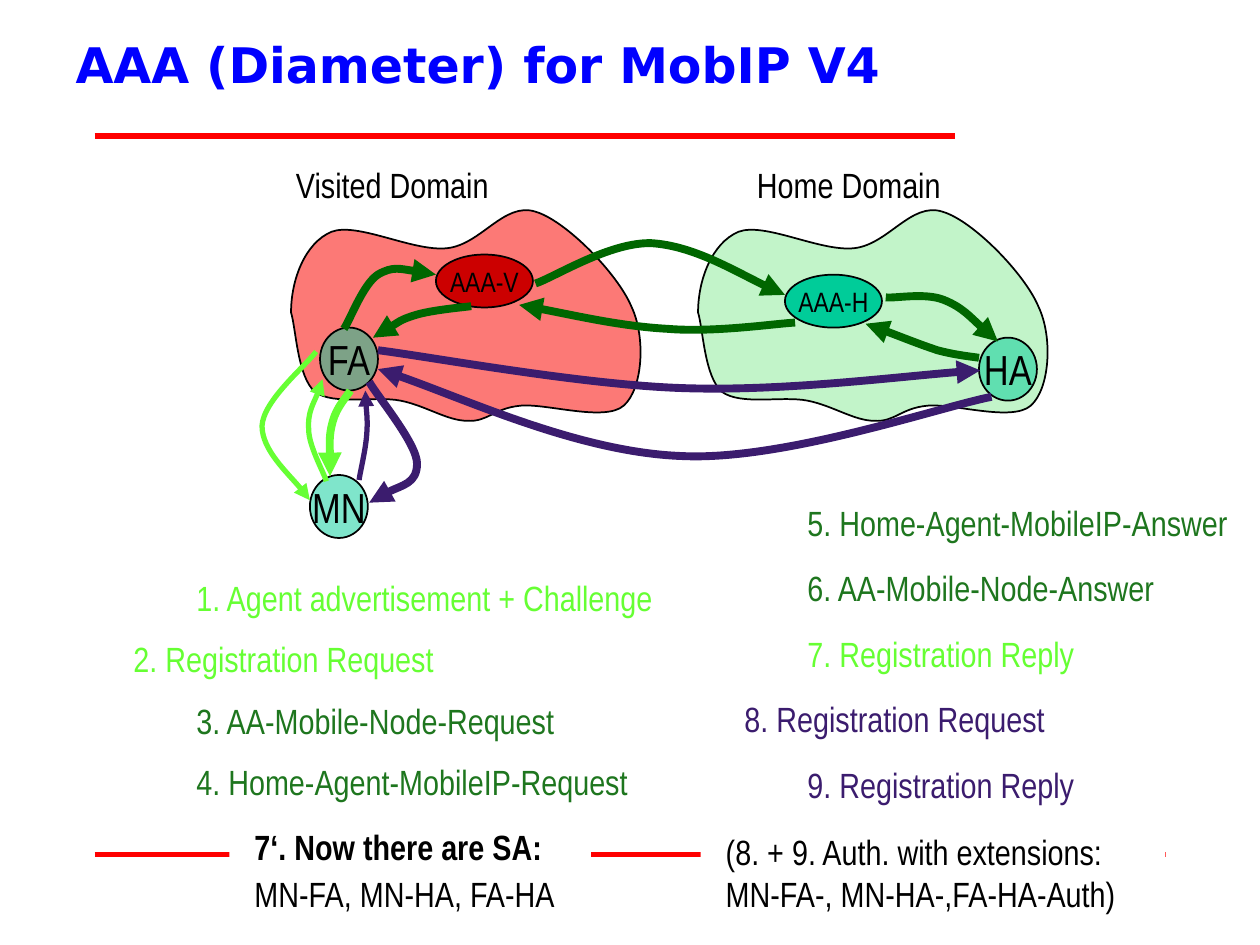
from dataclasses import dataclass

from lxml.etree import SubElement
from pptx import Presentation
from pptx.dml.color import RGBColor
from pptx.enum.shapes import MSO_CONNECTOR, MSO_SHAPE
from pptx.enum.text import MSO_ANCHOR, MSO_AUTO_SIZE, PP_ALIGN
from pptx.oxml.ns import qn
from pptx.util import Inches, Pt


@dataclass(frozen=True)
class Theme:
    """Colours, fonts and type sizes of the slide."""
    title_font: str = "DejaVu Sans"
    body_font: str = "Arial Narrow"
    title_size: int = 28
    node_size: int = 24
    body_size: int = 20
    server_size: int = 16
    ink: str = "000000"
    paper: str = "FFFFFF"
    heading: str = "0000FF"
    rule: str = "FF0000"
    visited: str = "FC7976"
    home: str = "C2F4C9"
    server_visited: str = "CC0000"
    node: str = "00CC99"
    mobile: str = "66FF33"
    diameter: str = "006600"
    diameter_text: str = "1E761E"
    registration: str = "3B1C6E"


THEME = Theme()

DOMAIN_OUTLINE = [
    (2.31, 2.48), (2.31, 2.22), (2.42, 1.93), (2.63, 1.84), (2.84, 1.76), (3.28, 2),
    (3.55, 1.97), (3.82, 1.94), (4, 1.6), (4.25, 1.68), (4.49, 1.75), (4.9, 2.17),
    (5.01, 2.43), (5.13, 2.68), (5.1, 3.09), (4.95, 3.22), (4.8, 3.35), (4.34, 3.2),
    (4.13, 3.22), (3.92, 3.24), (3.87, 3.35), (3.71, 3.34), (3.55, 3.34), (3.38, 3.22),
    (3.18, 3.18), (2.98, 3.14), (2.65, 3.22), (2.5, 3.11), (2.36, 2.99), (2.35, 2.61),
    (2.31, 2.48)]

DOMAINS = [("Home Domain", 5.91, 1.66, THEME.home, 3.23),
           ("Visited Domain", 2.25, 1.73, THEME.visited, 0)]
NODES = [("HA", 7.77, 2.68), ("FA", 2.54, 2.6), ("MN", 2.46, 3.77)]
SERVERS = [("AAA-H", 6.23, 2.18, THEME.node), ("AAA-V", 3.46, 2.02, THEME.server_visited)]

FLOWS = [
    (THEME.mobile, 3, [(2.51, 2.79), (2.42, 2.91), (2.09, 3.18), (2.08, 3.38),
                       (2.08, 3.57), (2.4, 3.87), (2.46, 3.97)]),
    (THEME.mobile, 3, [(2.59, 3.82), (2.57, 3.75), (2.45, 3.54), (2.45, 3.41),
                       (2.44, 3.27), (2.54, 3.1), (2.56, 3.01)]),
    (THEME.mobile, 4.5, [(2.78, 3.1), (2.76, 3.14), (2.67, 3.23), (2.64, 3.35),
                         (2.61, 3.46), (2.62, 3.69), (2.62, 3.78)]),
    (THEME.diameter, 4.5, [(2.73, 2.61), (2.78, 2.54), (2.88, 2.26), (3, 2.18),
                           (3.12, 2.11), (3.28, 2.15), (3.46, 2.18)]),
    (THEME.diameter, 4.5, [(4.25, 2.25), (4.4, 2.2), (4.84, 1.92), (5.17, 1.93),
                           (5.5, 1.95), (6.01, 2.25), (6.23, 2.34)]),
    (THEME.diameter, 4.5, [(7.03, 2.36), (7.1, 2.37), (7.34, 2.32), (7.49, 2.38),
                           (7.64, 2.44), (7.83, 2.64), (7.92, 2.71)]),
    (THEME.diameter, 4.5, [(7.77, 2.84), (7.71, 2.83), (7.59, 2.82), (7.44, 2.78),
                           (7.29, 2.73), (6.99, 2.61), (6.87, 2.57)]),
    (THEME.diameter, 4.5, [(6.31, 2.56), (6.14, 2.57), (5.66, 2.64), (5.3, 2.61),
                           (4.93, 2.59), (4.36, 2.46), (4.12, 2.42)]),
    (THEME.diameter, 4.5, [(3.74, 2.43), (3.67, 2.44), (3.43, 2.46), (3.3, 2.5),
                           (3.17, 2.54), (3.03, 2.64), (2.96, 2.68)]),
    (THEME.registration, 4.5, [(3, 2.78), (3.4, 2.83), (4.59, 3.05), (5.39, 3.08),
                               (6.18, 3.11), (7.28, 2.97), (7.78, 2.94)]),
    (THEME.registration, 3, [(2.85, 3.81), (2.86, 3.74), (2.9, 3.58), (2.91, 3.46),
                             (2.92, 3.34), (2.9, 3.17), (2.9, 3.1)]),
    (THEME.registration, 4.5, [(7.87, 3.15), (7.46, 3.23), (6.22, 3.66), (5.41, 3.62),
                               (4.6, 3.59), (3.5, 3.08), (3, 2.93)]),
    (THEME.registration, 4.5, [(2.93, 3.03), (2.99, 3.14), (3.31, 3.52), (3.31, 3.68),
                               (3.31, 3.84), (3.01, 3.92), (2.93, 3.99)])]

MESSAGES = [
    ("1. Agent advertisement + Challenge", 1.46, 4.53, 4.4, THEME.mobile),
    ("2. Registration Request", 0.96, 5.01, 3.58, THEME.mobile),
    ("3. AA-Mobile-Node-Request", 1.46, 5.5, 3.05, THEME.diameter_text),
    ("4. Home-Agent-MobileIP-Request", 1.46, 5.99, 3.62, THEME.diameter_text),
    ("5. Home-Agent-MobileIP-Answer", 6.31, 3.93, 3.53, THEME.diameter_text),
    ("6. AA-Mobile-Node-Answer", 6.31, 4.45, 2.96, THEME.diameter_text),
    ("7. Registration Reply", 6.31, 4.97, 2.57, THEME.mobile),
    ("8. Registration Request", 5.81, 5.49, 3.58, THEME.registration),
    ("9. Registration Reply", 6.31, 6.01, 2.57, THEME.registration)]


def apply(target, formats):
    """Set every format value on the target."""
    for name, value in formats.items():
        setattr(target, name, value)


class SlideBuilder:
    """Draws styled elements on the current slide."""

    def __init__(self, slide, theme):
        self.slide, self.theme = slide, theme

    def fill_text(self, holder, lines, size, color, frame=None, paragraph=None, font=None):
        text_frame = holder.text_frame
        text_frame.text = "\n".join(lines)
        apply(text_frame, {"auto_size": MSO_AUTO_SIZE.NONE, **(frame or {})})
        for line in text_frame.paragraphs:
            apply(line, {"alignment": PP_ALIGN.LEFT, **(paragraph or {})})
            line_font = line.runs[0].font
            apply(line_font, {"name": self.theme.body_font, "size": Pt(size), **(font or {})})
            line_font.color.rgb = RGBColor.from_string(color)

    def paint(self, shape, fill=None, line=None, width=1):
        shape.shadow.inherit = False
        for part, color in ((shape.fill, fill), (shape.line.fill, line)):
            if color:
                part.solid()
                part.fore_color.rgb = RGBColor.from_string(color)
            else:
                part.background()
        if line:
            shape.line.width = Pt(width)

    def title(self, text):
        heading = self.slide.shapes.title
        apply(heading, {"left": Inches(0.5), "top": 0,
                        "width": Inches(6.69), "height": Inches(1.01)})
        self.fill_text(heading, [text], self.theme.title_size, self.theme.heading,
                       {"vertical_anchor": MSO_ANCHOR.MIDDLE},
                       font={"name": self.theme.title_font, "bold": True})

    def rule(self, left, right, y):
        rule = self.slide.shapes.add_connector(
            MSO_CONNECTOR.STRAIGHT, Inches(left), Inches(y), Inches(right), Inches(y))
        rule.line.color.rgb = RGBColor.from_string(self.theme.rule)
        rule.line.width = Pt(3)
        SubElement(rule.element.spPr, qn("a:effectLst"))

    def label(self, text, left, top, width, color):
        label = self.slide.shapes.add_textbox(
            Inches(left), Inches(top), Inches(width), Inches(0.44))
        self.fill_text(label, [text], self.theme.body_size, color,
                       {"word_wrap": True, "margin_right": 0})

    def curve(self, points, fill=None, line=None, width=1, closed=False):
        start, *controls = [(Inches(x), Inches(y)) for x, y in points]
        builder = self.slide.shapes.build_freeform(*start)
        builder.add_line_segments(controls, close=closed)
        curve = builder.convert_to_shape()
        self.paint(curve, fill, line, width)
        outline = next(curve.element.iter(qn("a:path")))
        segments = outline.findall(qn("a:lnTo"))
        for first in range(0, len(segments), 3):
            bezier = outline.makeelement(qn("a:cubicBezTo"))
            segments[first].addprevious(bezier)
            for segment in segments[first:first + 3]:
                bezier.append(segment[0])
                outline.remove(segment)
        return curve

    def flow(self, points, color, width):
        flow = self.curve(points, line=color, width=width)
        SubElement(flow.element.spPr.find(qn("a:ln")), qn("a:tailEnd"), type="triangle")

    def ellipse(self, text, left, top, width, height, fill, size, opacity=100):
        ellipse = self.slide.shapes.add_shape(
            MSO_SHAPE.OVAL, Inches(left), Inches(top), Inches(width), Inches(height))
        self.paint(ellipse, fill, self.theme.ink)
        if opacity < 100:
            color = ellipse.element.spPr.find(qn("a:solidFill"))[0]
            SubElement(color, qn("a:alpha"), val=str(opacity * 1000))
        self.fill_text(ellipse, [text], size, self.theme.ink,
                       {"word_wrap": False, "vertical_anchor": MSO_ANCHOR.MIDDLE},
                       {"alignment": PP_ALIGN.CENTER})

    def note(self, lines, left, width, paragraph=None):
        note = self.slide.shapes.add_shape(
            MSO_SHAPE.RECTANGLE, Inches(left), Inches(6.43), Inches(width), Inches(0.98))
        self.paint(note, self.theme.paper)
        self.fill_text(note, lines, self.theme.body_size, self.theme.ink,
                       {"word_wrap": True, "vertical_anchor": MSO_ANCHOR.TOP,
                        "margin_left": Inches(0.2), "margin_right": Inches(0.2),
                        "margin_top": Inches(0.16), "margin_bottom": Inches(0.16)}, paragraph)
        return note


def main():
    deck = Presentation()
    apply(deck, {"slide_width": Inches(10), "slide_height": Inches(7.5)})
    page = SlideBuilder(deck.slides.add_slide(deck.slide_layouts[5]), THEME)
    page.rule(0.75, 7.58, 1.08)
    page.rule(0.75, 9.25, 6.78)
    page.title("AAA (Diameter) for MobIP V4")
    for name, left, width, fill, shift in DOMAINS:
        page.curve([(x + shift, y) for x, y in DOMAIN_OUTLINE], fill, THEME.ink, closed=True)
        page.label(name, left, 1.25, width, THEME.ink)
    for name, left, top in NODES:
        page.ellipse(name, left, top, 0.46, 0.5, THEME.node, THEME.node_size, 50)
    for name, left, top, fill in SERVERS:
        page.ellipse(name, left, top, 0.77, 0.42, fill, THEME.server_size)
    for color, width, points in FLOWS:
        page.flow(points, color, width)
    for message in MESSAGES:
        page.label(*message)
    page.note(["(8. + 9. Auth. with extensions:", "MN-FA-, MN-HA-,FA-HA-Auth)"], 5.56, 3.69)
    associations = page.note(["7‘. Now there are SA:", "MN-FA, MN-HA, FA-HA"], 1.82, 2.87,
                             {"line_spacing": 0.9, "space_before": Pt(5)})
    associations.text_frame.paragraphs[0].runs[0].font.bold = True
    deck.save("out.pptx")


if __name__ == "__main__":
    main()
